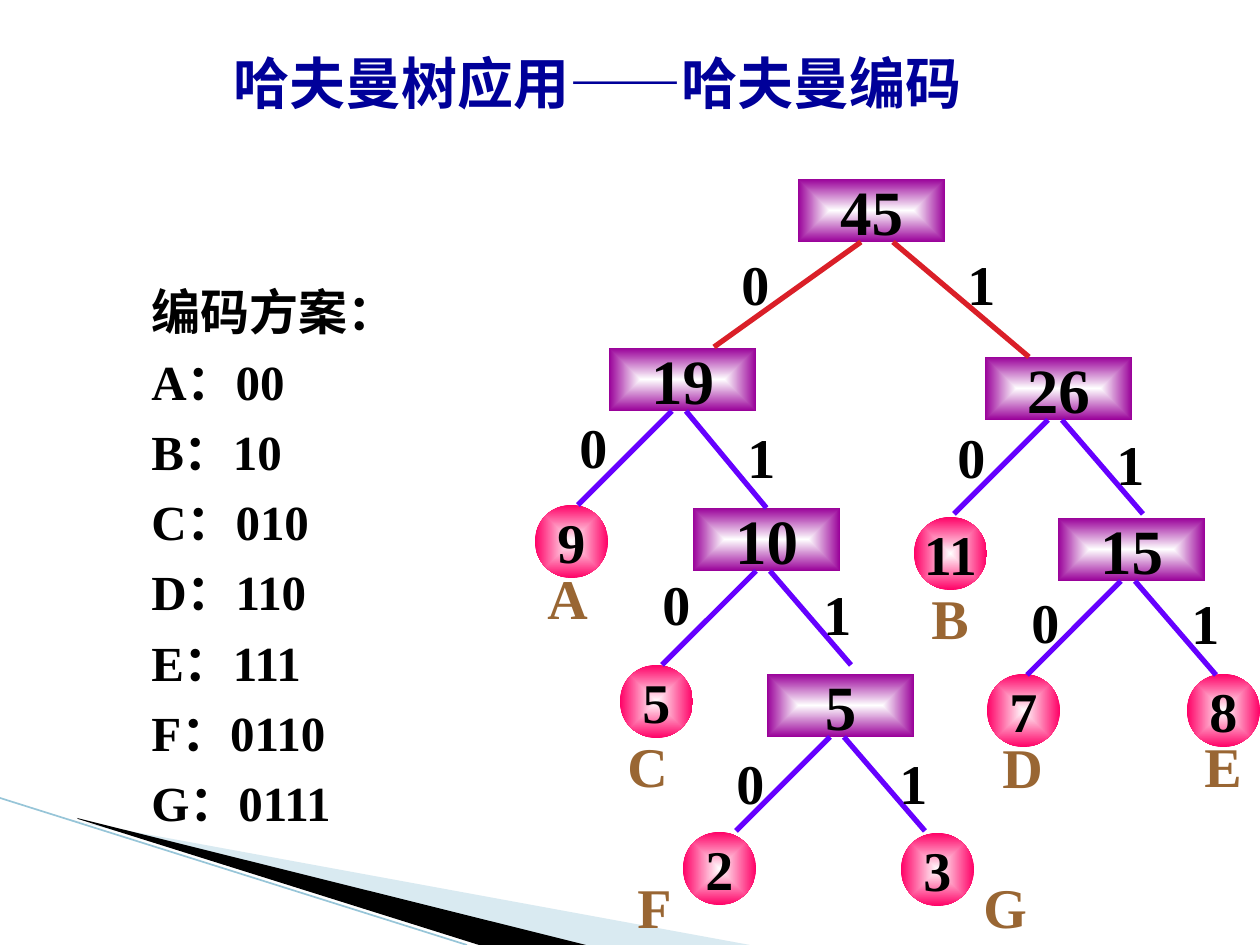
from lxml.etree import SubElement as Sub
from pptx import Presentation
from pptx.dml.color import RGBColor as RGB
from pptx.enum.shapes import MSO_CONNECTOR as LINK, MSO_SHAPE as SHAPE
from pptx.enum.text import MSO_ANCHOR as ANCHOR, MSO_AUTO_SIZE as AUTO, PP_ALIGN as ALIGN
from pptx.oxml.ns import qn
from pptx.util import Emu, Pt

FONT = "Times New Roman"
WHITE = RGB(255, 255, 255)
BLACK = RGB(0, 0, 0)
NAVY = RGB(0, 0, 0x99)
BROWN = RGB(0x99, 0x66, 0x33)
PINK = RGB(0xFF, 0, 0x66)
PLUM = RGB(0x99, 0, 0x99)
VIOLET = RGB(0x66, 0, 0xFF)
RED = RGB(0xDA, 0x1F, 0x28)
SKY = RGB(0xA0, 0xCB, 0xDC)
TEAL = RGB(0x97, 0xC5, 0xD8)

DISC, WIDE, TALL = 73, 147, 63
ROOT = (RED, ((63, -84, 168), (95, 231, 178)))
FORK = (VIOLET, ((63, -31, 157), (77, 158, 157)))
NODES = [
    ("45", (263, 0), (184, 68), (410, 68), ROOT),
    ("19", (74, 169), (22, 231), (190, 241), FORK),
    ("26", (450, 178), (400, 241), (559, 248), FORK),
    ("10", (158, 329), (105, 388), (266, 398), FORK),
    ("5", (232, 495), (179, 567), (342, 567), FORK),
    ("15", (523, 339), (474, 406), (634, 407), FORK),
]
LEAVES = [
    ("9", (0, 326), "A", (0, 378)),
    ("11", (379, 338), "B", (384, 398)),
    ("5", (85, 486), "C", (80, 546)),
    ("7", (452, 495), "D", (455, 547)),
    ("8", (652, 495), "E", (657, 546)),
    ("2", (148, 653), "F", (90, 687)),
    ("3", (366, 654), "G", (436, 687)),
]
CODES = ["编码方案：", "A：00", "B：10", "C：010", "D：110", "E：111", "F：0110", "G：0111"]


def px(n):
    """Turn pixels into EMU."""
    return Emu(round(n * 914400 / 126))


def write(shape, *lines, size=32, color=BLACK, align=ALIGN.JUSTIFY, gap=0):
    """Write lines of bold text into a shape."""
    frame = shape.text_frame
    for i, line in enumerate(lines):
        par = frame.add_paragraph() if i else frame.paragraphs[0]
        par.alignment = align
        if i:
            par.space_before = Pt(gap)
        run = par.add_run()
        run.text = line
        font = run.font
        font.name, font.size, font.bold = FONT, Pt(size), True
        font.color.rgb = color


def label(shapes, box, *lines, **style):
    """Add a wrapping text box."""
    item = shapes.add_textbox(*map(px, box))
    item.text_frame.word_wrap = True
    item.text_frame.auto_size = AUTO.SHAPE_TO_FIT_TEXT
    write(item, *lines, **style)


def glow(shape, color):
    """Fill a shape from a white centre out to a colour."""
    shape.fill.gradient()
    for stop, tone in zip(shape.fill.gradient_stops, (WHITE, color)):
        stop.color.rgb = tone
    grad = shape.element.spPr.find(qn("a:gradFill"))
    grad.remove(grad.find(qn("a:lin")))
    ring = Sub(grad, qn("a:path"), {"path": "shape"})
    Sub(ring, qn("a:fillToRect"), {side: "50000" for side in "ltrb"})


def badge(shapes, kind, box, text, color=None, size=32):
    """Add a shape with one centred number."""
    item = shapes.add_shape(kind, *map(px, box))
    item.shadow.inherit = False
    item.line.fill.background()
    if color is None:
        item.fill.background()
    else:
        glow(item, color)
    item.text_frame.word_wrap = False
    item.text_frame.vertical_anchor = ANCHOR.MIDDLE
    write(item, text, size=size, align=ALIGN.CENTER)
    return item


def edge(shapes, start, end, color, width):
    """Add a straight line without a shadow."""
    line = shapes.add_connector(LINK.STRAIGHT, *map(px, (*start, *end)))
    line.line.color.rgb = color
    line.line.width = Pt(width)
    Sub(line.element.spPr, qn("a:effectLst"))
    return line


def wedge(shapes, points, color, alpha=None):
    """Add a filled outline."""
    first, *rest = [(px(x), px(y)) for x, y in points]
    pen = shapes.build_freeform(*first)
    pen.add_line_segments(rest, close=True)
    item = pen.convert_to_shape()
    item.shadow.inherit = False
    item.line.fill.background()
    item.fill.solid()
    item.fill.fore_color.rgb = color
    if alpha:
        tone = item.element.spPr.find(qn("a:solidFill"))[0]
        Sub(tone, qn("a:alpha"), {"val": str(alpha * 1000)})


def swoosh(shapes, box):
    """Draw the sweep in the lower left corner."""
    x, y, w, h = box
    foot = y + h
    wedge(shapes, [(x + 69, y + 22), (x + w, foot), (x + 575, foot), (x + 69, y + 21)], SKY, 40)
    wedge(shapes, [(x + 77, y + 20), (x + 586, foot), (x + 479, foot), (x + 78, y + 21)], BLACK)
    edge(shapes, (x, y), (x + 467, foot), TEAL, 0.95)


def tree(shapes, box):
    """Draw the code tree: leaves, nodes, edges and bits."""
    left, top = box[:2]

    def at(spot, w=DISC, h=DISC):
        """Place a part inside the tree."""
        return left + spot[0], top + spot[1], w, h

    for text, spot, _, _ in LEAVES:
        badge(shapes, SHAPE.OVAL, at(spot), text, PINK)
    rects = {}
    for text, spot, *_ in NODES:
        rects[text] = badge(shapes, SHAPE.RECTANGLE, at(spot, WIDE, TALL), text, PLUM, 36)
    for text, spot, zero, one, (color, arms) in NODES:
        x, y = at(spot)[:2]
        lines = [edge(shapes, (x + out, y + TALL), (x + dx, y + dy), color, 3)
                 for out, dx, dy in arms]
        if text == "19":
            lines[1].end_connect(rects["10"], 0)
        for bit, place in (("0", zero), ("1", one)):
            badge(shapes, SHAPE.OVAL, at(place), bit)
    for _, _, name, spot in LEAVES:
        label(shapes, at(spot, 63, 79), name, color=BROWN)


def main():
    """Build the slide and save it."""
    deck = Presentation()
    deck.slide_width, deck.slide_height = px(1260), px(945)
    shapes = deck.slides.add_slide(deck.slide_layouts[6]).shapes
    swoosh(shapes, (0, 798, 750, 147))
    tree(shapes, (535, 179, 725, 766))
    label(shapes, (139, 275, 318, 566), *CODES, size=28, gap=6.5)
    label(shapes, (221, 42, 949, 79), "哈夫曼树应用——哈夫曼编码", color=NAVY)
    deck.save("out.pptx")


if __name__ == "__main__":
    main()
